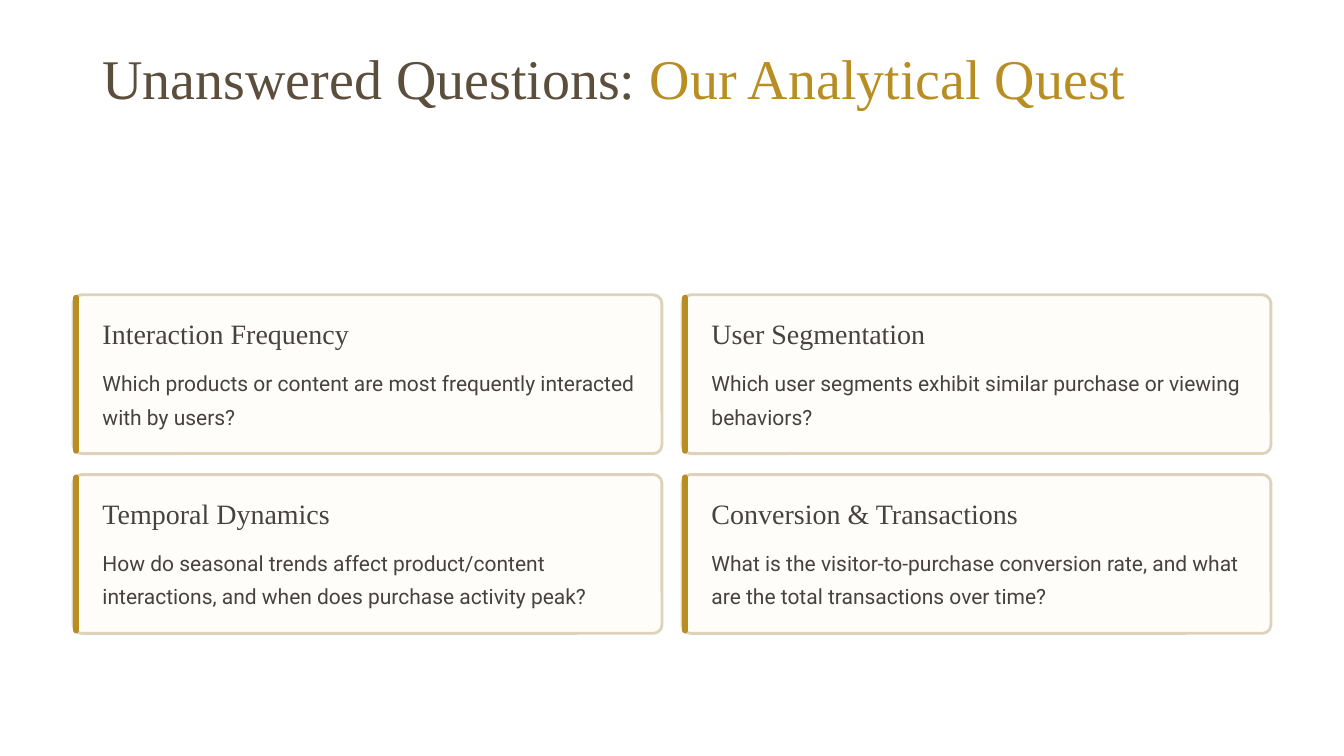
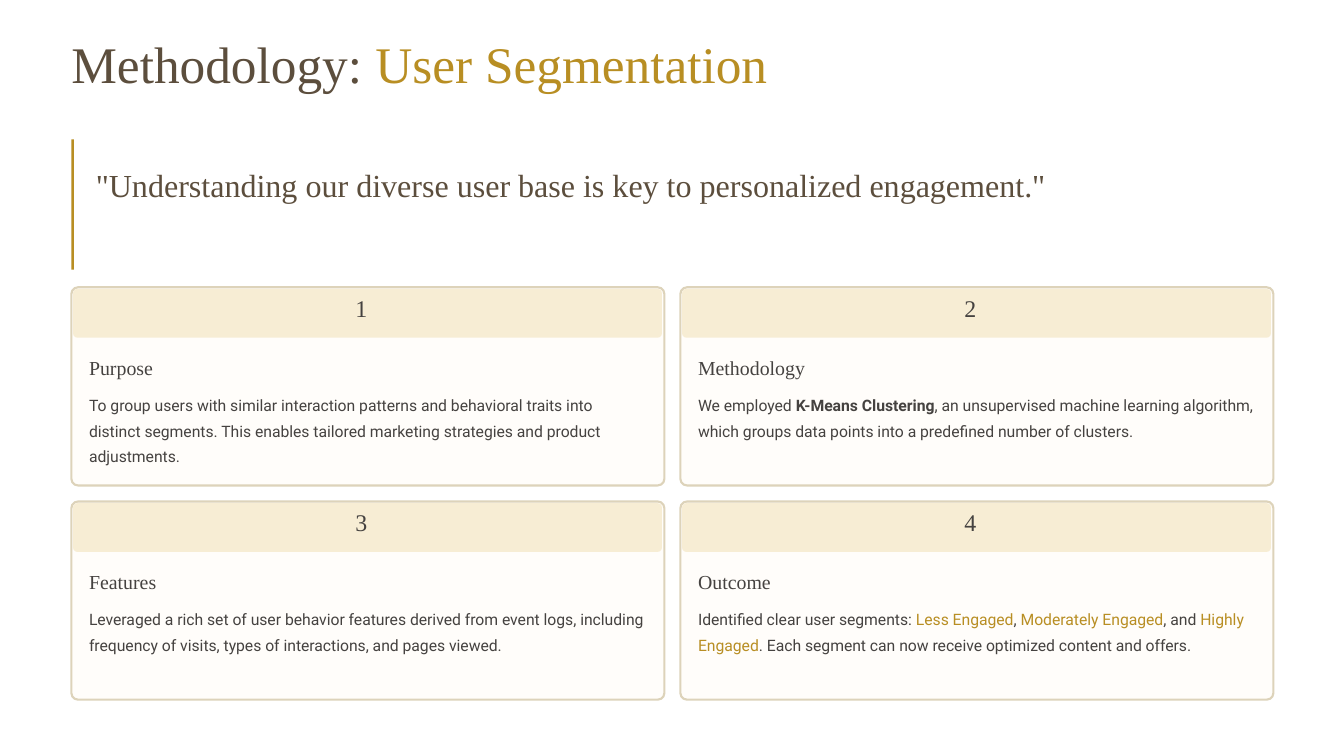
"""Build two slides: the open analytical questions and the segmentation method."""
from pptx import Presentation
from pptx.dml.color import RGBColor
from pptx.enum.shapes import MSO_SHAPE
from pptx.util import Inches, Pt

RECT = MSO_SHAPE.RECTANGLE
ROUNDED = MSO_SHAPE.ROUNDED_RECTANGLE
SERIF, SANS = "Times New Roman", "Roboto"
COLORS = {"paper": "FFFFFF", "title": "5C4E3D", "gold": "B88E23", "text": "454240",
          "card": "FFFDFA", "border": "DDD3BA", "band": "F7EDD4"}
COLUMN_STEP = 7.25

QUESTIONS_TITLE = ["Unanswered Questions: ", ("Our Analytical Quest", "gold")]
QUESTIONS = [
    ("Interaction Frequency",
     ["Which products or content are most frequently interacted with by users?"]),
    ("User Segmentation",
     ["Which user segments exhibit similar purchase or viewing behaviors?"]),
    ("Temporal Dynamics",
     ["How do seasonal trends affect product/content interactions, "
      "and when does purchase activity peak?"]),
    ("Conversion & Transactions",
     ["What is the visitor-to-purchase conversion rate, "
      "and what are the total transactions over time?"]),
]

METHOD_TITLE = ["Methodology: ", ("User Segmentation", "gold")]
QUOTE = ['"Understanding our diverse user base is key to personalized engagement."']
STEPS = [
    ("Purpose",
     ["To group users with similar interaction patterns and behavioral traits into "
      "distinct segments. This enables tailored marketing strategies and product "
      "adjustments."]),
    ("Methodology",
     ["We employed ", ("K-Means Clustering", "text", True),
      ", an unsupervised machine learning algorithm, which groups data points "
      "into a predefined number of clusters."]),
    ("Features",
     ["Leveraged a rich set of user behavior features derived from event logs, "
      "including frequency of visits, types of interactions, and pages viewed."]),
    ("Outcome",
     ["Identified clear user segments: ", ("Less Engaged", "gold"), ", ",
      ("Moderately Engaged", "gold"), ", and ", ("Highly Engaged", "gold"),
      ". Each segment can now receive optimized content and offers."]),
]


def rgb(name):
    """Return the named palette colour."""
    return RGBColor.from_string(COLORS[name])


def add_slide(prs):
    """Add a blank slide with the shared background."""
    s = prs.slides.add_slide(prs.slide_layouts[6])
    s.background.fill.solid()
    s.background.fill.fore_color.rgb = rgb("paper")
    return s


def add_text(s, runs, x, y, w, h, size, leading, font=SERIF, color="text"):
    """Add a text box; a run is a string or a (text, colour, bold) tuple."""
    tf = s.shapes.add_textbox(Inches(x), Inches(y), Inches(w), Inches(h)).text_frame
    tf.word_wrap = True
    tf.margin_left = tf.margin_right = tf.margin_top = tf.margin_bottom = 0
    p = tf.paragraphs[0]
    p.line_spacing = Pt(leading)
    for run in runs:
        text, tint, *bold = (run, color) if isinstance(run, str) else run
        r = p.add_run()
        r.text = text
        r.font.name = font
        r.font.size = Pt(size)
        r.font.bold = bool(bold)
        r.font.color.rgb = rgb(tint)


def add_box(s, x, y, w, h, fill, radius=None, border=None):
    """Add a filled box, rounded by radius inches and outlined border points wide."""
    kind = RECT if radius is None else ROUNDED
    sp = s.shapes.add_shape(kind, Inches(x), Inches(y), Inches(w), Inches(h))
    sp.shadow.inherit = False
    if radius is not None:
        sp.adjustments[0] = min(0.5, radius / min(w, h))
    sp.fill.solid()
    sp.fill.fore_color.rgb = rgb(fill)
    if border is None:
        sp.line.fill.background()
    else:
        sp.line.color.rgb = rgb("border")
        sp.line.width = Pt(border)


def grid(cards, left, top, row_step):
    """Yield number, left, top, heading and body of cards in two columns."""
    for i, (heading, body) in enumerate(cards):
        row, col = divmod(i, 2)
        yield i + 1, left + col * COLUMN_STEP, top + row * row_step, heading, body


def build_questions(prs):
    """Draw the question cards with their gold edges."""
    s = add_slide(prs)
    add_text(s, QUESTIONS_TITLE, 1.22, 0.55, 14.71, 1.55, 48, 55.5, color="title")
    for _, x, y, heading, body in grid(QUESTIONS, 0.87, 3.51, 2.14):
        add_box(s, x, y, 7.01, 1.89, "card", radius=0.1, border=2.4)
        add_box(s, x, y, 0.07, 1.89, "gold", radius=0.1)
        add_text(s, [heading], x + 0.35, y + 0.28, 6.38, 0.39, 24, 27.5)
        add_text(s, body, x + 0.35, y + 0.81, 6.38, 0.79, 18, 28.5, font=SANS)


def build_method(prs):
    """Draw the quote and the numbered step cards."""
    s = add_slide(prs)
    add_text(s, METHOD_TITLE, 0.85, 0.52, 11.34, 0.6, 44, 43, color="title")
    add_text(s, QUOTE, 1.14, 1.95, 14.02, 0.97, 27.5, 34.5, color="title")
    add_box(s, 0.85, 1.66, 0.03, 1.55, "gold")
    for number, x, y, heading, body in grid(STEPS, 0.85, 3.42, 2.55):
        add_box(s, x, y, 7.06, 2.36, "card", radius=0.08, border=1.8)
        add_box(s, x + 0.02, y + 0.02, 7.01, 0.58, "band", radius=0.05)
        add_text(s, [str(number)], x + 3.38, y + 0.13, 0.29, 0.36, 20.5, 20.5)
        add_text(s, [heading], x + 0.21, y + 0.8, 6.62, 0.3, 17, 21.5)
        add_text(s, body, x + 0.21, y + 1.21, 6.62, 0.93, 13.5, 22, font=SANS)


def main():
    """Build and save the presentation."""
    prs = Presentation()
    prs.slide_width, prs.slide_height = Inches(16), Inches(9)
    build_questions(prs)
    build_method(prs)
    prs.save("out.pptx")


if __name__ == "__main__":
    main()
